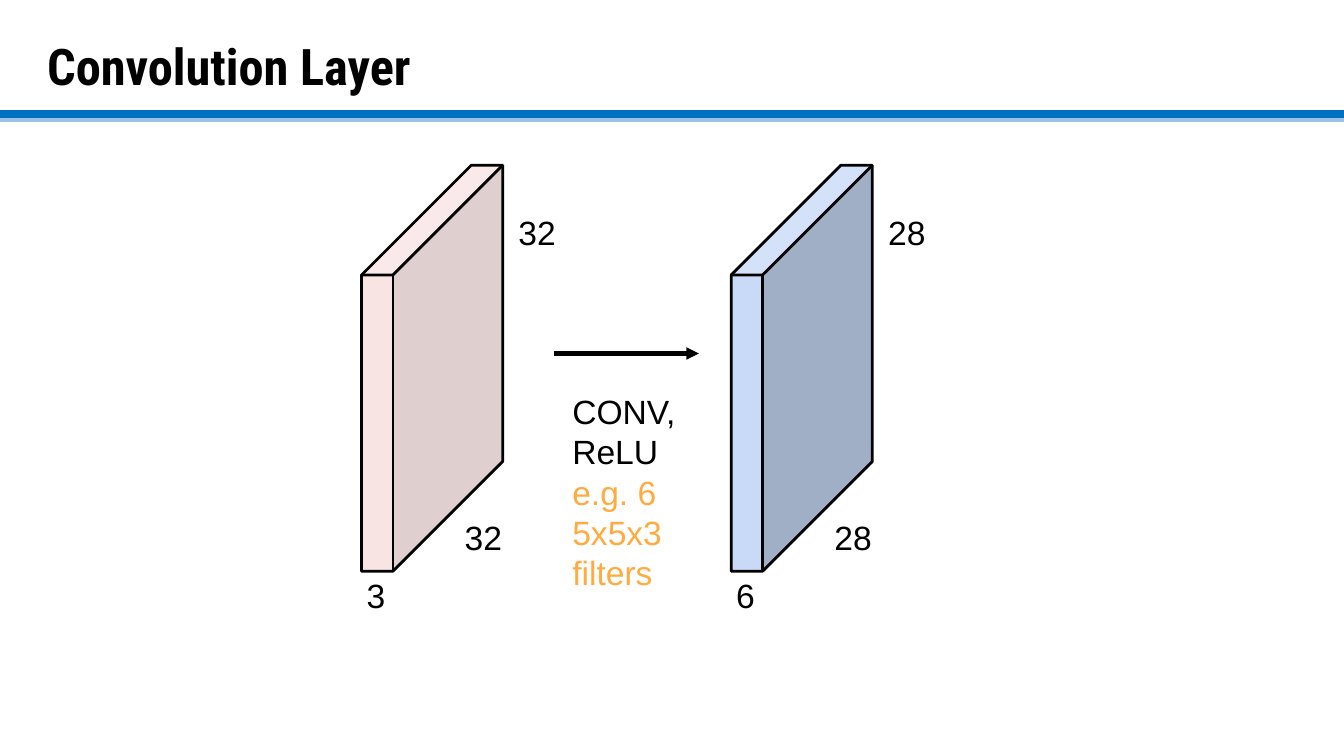
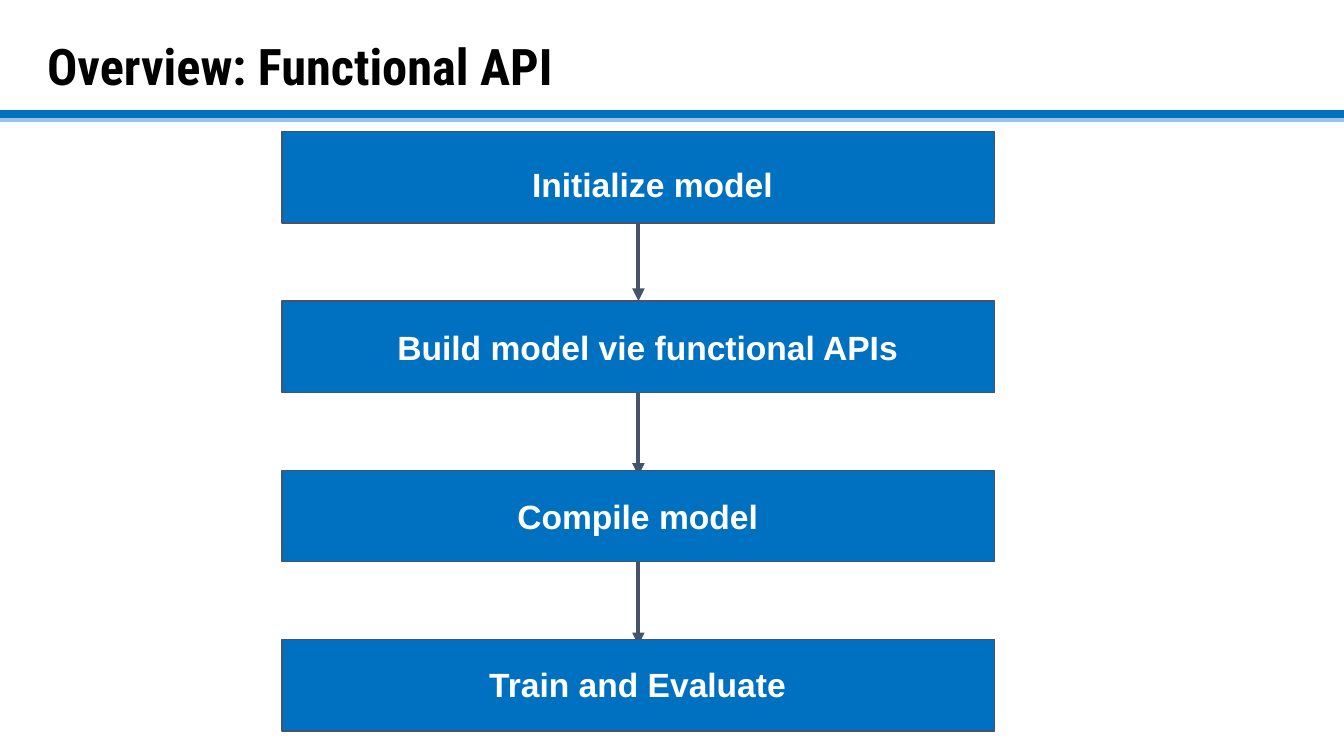
from lxml.etree import SubElement
from pptx import Presentation
from pptx.dml.color import RGBColor
from pptx.enum.shapes import MSO_CONNECTOR, MSO_SHAPE
from pptx.enum.text import MSO_ANCHOR, MSO_AUTO_SIZE, PP_ALIGN
from pptx.oxml.ns import qn
from pptx.util import Inches, Pt

BLACK, WHITE = "000000", "FFFFFF"
BLUE, LIGHT_BLUE, SLATE = "0070C0", "9CC2E5", "44546A"
PINK, PALE_BLUE, ORANGE = "F4CCCC", "C9DAF8", "FFAB40"
TITLE_FONT, BODY_FONT = "Roboto Condensed", "Arial"


def color(value):
    return RGBColor.from_string(value)


class Deck:
    """Holds the shared style and the slide being drawn."""

    def __init__(self):
        self.deck = Presentation()
        self.deck.slide_width = Inches(10)
        self.deck.slide_height = Inches(10) * 9 // 16
        self.page = None

    def add_page(self, title):
        self.page = self.deck.slides.add_slide(self.deck.slide_layouts[5])
        self.line((-0.01, 0.89), (10, 0.89), LIGHT_BLUE, 2.25)
        self.line((-0.01, 0.85), (10, 0.85), BLUE, 4.5)
        box = self.page.shapes.title
        box.left, box.top = Inches(0.28), Inches(0.15)
        box.width, box.height = Inches(9.32), Inches(0.68)
        self.frame(box, 0.07, MSO_ANCHOR.MIDDLE)
        para = box.text_frame.paragraphs[0]
        para.alignment = PP_ALIGN.LEFT
        self.span(para, title, 27, TITLE_FONT, BLACK, True)

    def frame(self, box, inset, anchor):
        frame = box.text_frame
        frame.word_wrap = True
        frame.auto_size = MSO_AUTO_SIZE.NONE
        frame.vertical_anchor = anchor
        frame.margin_left = frame.margin_right = Inches(inset)
        frame.margin_top = frame.margin_bottom = Inches(inset)

    def span(self, para, text, size, font, tint, bold):
        span = para.add_run()
        span.text = text
        span.font.size = Pt(size)
        span.font.name = font
        span.font.bold = bold
        span.font.color.rgb = color(tint)

    def text(self, left, top, width, height, lines, align=PP_ALIGN.LEFT, bold=False):
        """Add a text box; each line is a (text, colour) pair."""
        box = self.page.shapes.add_textbox(
            Inches(left), Inches(top), Inches(width), Inches(height))
        self.frame(box, 0.1, MSO_ANCHOR.TOP)
        frame = box.text_frame
        for index, (words, tint) in enumerate(lines):
            para = frame.add_paragraph() if index else frame.paragraphs[0]
            para.alignment = align
            self.span(para, words, 18, BODY_FONT, tint, bold)

    def shape(self, kind, left, top, width, height, fill, outline, weight, opacity=100):
        shape = self.page.shapes.add_shape(
            kind, Inches(left), Inches(top), Inches(width), Inches(height))
        shape.shadow.inherit = False
        shape.fill.solid()
        shape.fill.fore_color.rgb = color(fill)
        if opacity < 100:
            tint = shape._element.spPr.find(qn("a:solidFill"))[0]
            SubElement(tint, qn("a:alpha"), val=str(opacity * 1000))
        shape.line.color.rgb = color(outline)
        shape.line.width = Pt(weight)
        return shape

    def line(self, start, end, tint, weight, arrow=False):
        line = self.page.shapes.add_connector(
            MSO_CONNECTOR.STRAIGHT, *map(Inches, start + end))
        line.line.color.rgb = color(tint)
        line.line.width = Pt(weight)
        properties = line._element.spPr
        if arrow:
            SubElement(properties.find(qn("a:ln")), qn("a:tailEnd"), type="triangle")
        SubElement(properties, qn("a:effectLst"))

    def volume(self, left, fill, opacity, side, depth):
        """Draw a tensor as a thin cube with its three dimensions."""
        cube = self.shape(MSO_SHAPE.CUBE, left, 1.23, 1.05, 3.02, fill, BLACK, 1.5, opacity)
        cube.adjustments[0] = 0.777
        for shift, top, height, label in (
                (0.67, 3.75, 0.34, side),
                (1.07, 1.48, 0.31, side),
                (-0.06, 4.18, 0.2, depth)):
            self.text(left + shift, top, 0.54, height, [(label, BLACK)])


def convolution_page(deck):
    deck.add_page("Convolution Layer")
    deck.volume(2.69, PINK, 52, "32", "3")
    deck.line((4.12, 2.63), (5.2, 2.63), BLACK, 2.25, arrow=True)
    deck.volume(5.44, PALE_BLUE, 100, "28", "6")
    deck.text(4.16, 2.81, 1.08, 0.43, [
        ("CONV,", BLACK), ("ReLU", BLACK), ("e.g. 6 5x5x3 filters", ORANGE)])


def functional_api_page(deck):
    deck.add_page("Overview: Functional API")
    left, width, height, pitch = 2.1, 5.3, 0.68, 1.26
    middle = left + width / 2
    # Label, its left, its offset below the box top, its width, length of the arrow above
    steps = [
        ("Initialize model", 3.07, 0.14, 3.57, 0),
        ("Build model vie functional APIs", 2.33, 0.09, 4.98, 0.58),
        ("Compile model", 3.21, 0.09, 3.07, 0.62),
        ("Train and Evaluate", 3.21, 0.08, 3.07, 0.62),
    ]
    for index, (label, label_left, offset, label_width, drop) in enumerate(steps):
        top = 0.98 + index * pitch
        if drop:
            start = top - pitch + height
            deck.line((middle, start), (middle, start + drop), SLATE, 2.25, arrow=True)
        deck.shape(MSO_SHAPE.RECTANGLE, left, top, width, height, BLUE, SLATE, 0.75)
        deck.text(label_left, top + offset, label_width, 0.43, [(label, WHITE)],
                  PP_ALIGN.CENTER, bold=True)


def main():
    deck = Deck()
    convolution_page(deck)
    functional_api_page(deck)
    deck.deck.save("out.pptx")


if __name__ == "__main__":
    main()
